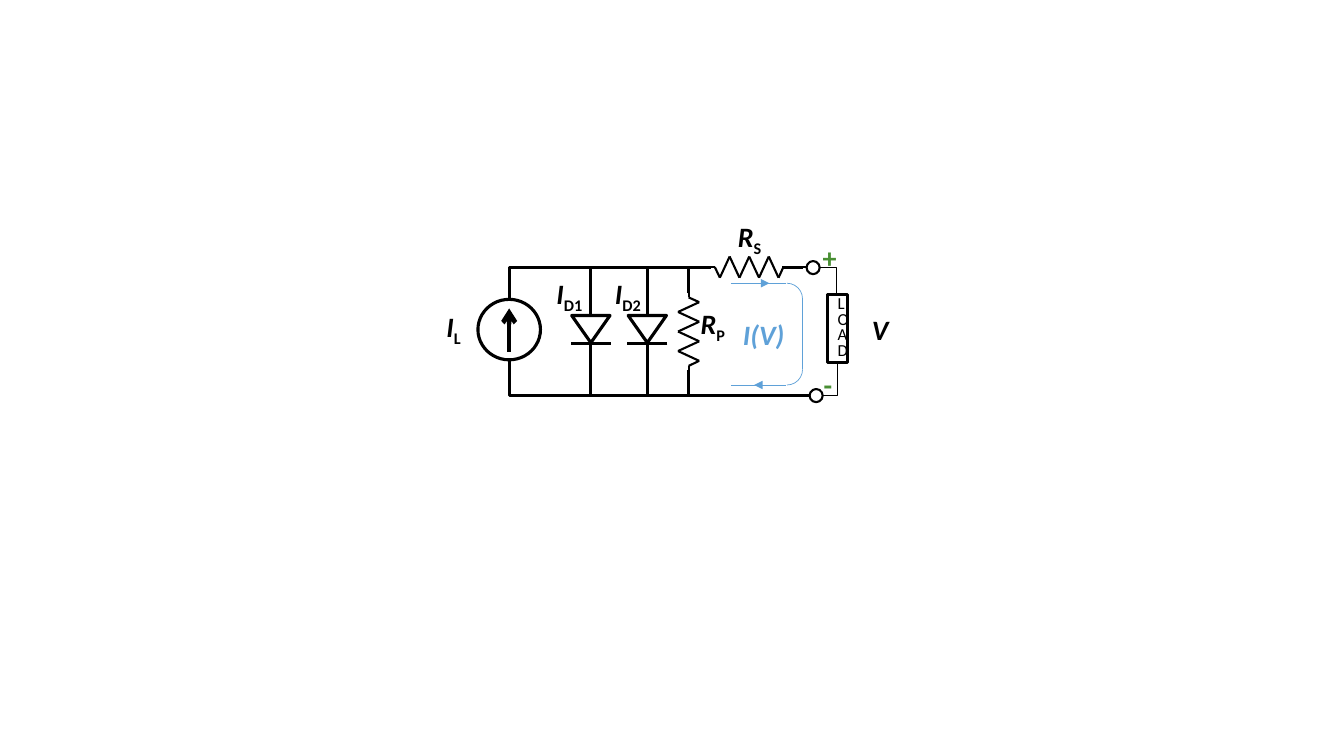
import dataclasses
import typing

import lxml.etree
import pptx
import pptx.dml.color
import pptx.enum.shapes
import pptx.enum.text
import pptx.oxml.ns
import pptx.util

BLACK, BLUE, GREEN, WHITE = "000000", "5FA1D8", "498F34", "FFFFFF"
THICK, MEDIUM, THIN = 2.25, 1.5, 0.5
SHAPE = pptx.enum.shapes.MSO_SHAPE
CONNECTOR = pptx.enum.shapes.MSO_CONNECTOR
Point = tuple[float, float]


@dataclasses.dataclass
class Wire:
    start: Point
    end: Point
    width: float = THICK
    color: str = BLACK
    arrow: str = ""


@dataclasses.dataclass
class Elbow:
    left: float
    top: float
    width: float
    height: float
    rotation: int
    flipped: bool
    preset: str
    weight: float
    bend: typing.Optional[int] = None


@dataclasses.dataclass
class Outline:
    preset: typing.Any
    left: float
    top: float
    width: float
    height: float
    weight: float = THICK
    color: str = BLACK
    fill: str = ""
    rotation: int = 0


@dataclasses.dataclass
class Label:
    text: str
    left: float
    top: float
    width: float
    subscript: str = ""
    color: str = BLACK
    italic: bool = True


def length(units: float) -> pptx.util.Length:
    """One drawing unit is 2.54 cm."""
    return pptx.util.Cm(2.54 * units)


def rgb(color: str) -> pptx.dml.color.RGBColor:
    return pptx.dml.color.RGBColor.from_string(color)


def add_child(parent: typing.Any, tag: str, **attributes: str) -> None:
    child = lxml.etree.SubElement(parent, pptx.oxml.ns.qn(tag))
    for name, value in attributes.items():
        child.set(name, value)


def style_line(shape: typing.Any, color: str, weight: float) -> None:
    shape.line.color.rgb = rgb(color)
    shape.line.width = pptx.util.Pt(weight)


def draw_wire(slide: typing.Any, wire: Wire) -> None:
    ends = [length(value) for value in (*wire.start, *wire.end)]
    connector = slide.shapes.add_connector(CONNECTOR.STRAIGHT, *ends)
    style_line(connector, wire.color, wire.width)
    if wire.arrow:
        add_child(connector.line._get_or_add_ln(), "a:tailEnd", type=wire.arrow)
    add_child(connector._element.spPr, "a:effectLst")


def draw_elbow(slide: typing.Any, elbow: Elbow) -> None:
    connector = slide.shapes.add_connector(
        CONNECTOR.ELBOW, length(elbow.left), length(elbow.top),
        length(elbow.left + elbow.width), length(elbow.top + elbow.height))
    style_line(connector, BLACK, elbow.weight)
    properties = connector._element.spPr
    frame = properties.find(pptx.oxml.ns.qn("a:xfrm"))
    frame.set("rot", str(elbow.rotation * 60000))
    if elbow.flipped:
        frame.set("flipV", "1")
    geometry = properties.find(pptx.oxml.ns.qn("a:prstGeom"))
    geometry.set("prst", elbow.preset)
    if elbow.bend is not None:
        adjustments = geometry.find(pptx.oxml.ns.qn("a:avLst"))
        add_child(adjustments, "a:gd", name="adj1", fmla=f"val {elbow.bend}")
    add_child(properties, "a:effectLst")


def draw_outline(slide: typing.Any, outline: Outline) -> typing.Any:
    box = (outline.left, outline.top, outline.width, outline.height)
    shape = slide.shapes.add_shape(outline.preset, *map(length, box))
    shape.shadow.inherit = False
    shape.rotation = outline.rotation
    style_line(shape, outline.color, outline.weight)
    if outline.fill:
        shape.fill.solid()
        shape.fill.fore_color.rgb = rgb(outline.fill)
    else:
        shape.fill.background()
    return shape


def add_text(paragraph: typing.Any, text: str, *, size: float = 20, color: str = BLACK,
             bold: bool = True, italic: bool = False, subscript: bool = False) -> None:
    run = paragraph.add_run()
    run.text = text
    font = run.font
    font.name, font.size = "Calibri", pptx.util.Pt(size)
    font.bold, font.italic = bold, italic
    font.color.rgb = rgb(color)
    if subscript:
        run._r.get_or_add_rPr().set("baseline", "-25000")


def draw_label(slide: typing.Any, label: Label) -> None:
    box = (label.left, label.top, label.width, 0.44)
    frame = slide.shapes.add_textbox(*map(length, box)).text_frame
    frame.word_wrap = True
    frame.auto_size = pptx.enum.text.MSO_AUTO_SIZE.SHAPE_TO_FIT_TEXT
    paragraph = frame.paragraphs[0]
    add_text(paragraph, label.text, color=label.color, italic=label.italic)
    if label.subscript:
        add_text(paragraph, label.subscript, color=label.color, subscript=True)


def draw_resistor(slide: typing.Any, start: Point, vertical: bool) -> None:
    """Draw seven peaks with a short lead at each end, to the right or upwards."""
    peaks = [(0.05 + 0.097 * peak, 0.105 * (-1) ** peak) for peak in range(7)]
    route = [(-0.05, 0), (0, 0), *peaks, (0.68, 0), (0.73, 0)]
    x, y = start
    points = [(x + across, y - along) if vertical else (x + along, y + across)
              for along, across in route]
    for first, second in zip(points, points[1:]):
        draw_wire(slide, Wire(first, second, MEDIUM))


def draw_diode(slide: typing.Any, x: float, top: float) -> None:
    draw_outline(slide, Outline(SHAPE.ISOSCELES_TRIANGLE, x - 0.19, top, 0.38, 0.27, rotation=180))
    draw_wire(slide, Wire((x + 0.2, top + 0.28), (x - 0.2, top + 0.28)))
    draw_wire(slide, Wire((x, top), (x, 2.65)))
    draw_wire(slide, Wire((x, 3.93), (x, top + 0.28)))


ELBOWS = [
    Elbow(5.05, 2.65, 2, 0.22, 180, True, "bentConnector3", THICK, 99900),
    Elbow(5.05, 3.57, 2.97, 0.35, 180, False, "bentConnector2", THICK),
    Elbow(8.08, 2.7, 0.27, 0.17, 270, True, "bentConnector2", THIN),
    Elbow(8.07, 3.69, 0.32, 0.15, 90, False, "bentConnector2", THIN),
]
OUTLINES = [
    Outline(SHAPE.OVAL, 8, 2.59, 0.13, 0.13, MEDIUM, fill=WHITE),
    Outline(SHAPE.OVAL, 8.03, 3.86, 0.13, 0.13, MEDIUM, fill=WHITE),
    Outline(SHAPE.OVAL, 4.74, 2.97, 0.62, 0.6),
    Outline(SHAPE.ARC, 7.65, 2.81, 0.31, 0.31, THIN, BLUE),
    Outline(SHAPE.ARC, 7.65, 3.51, 0.31, 0.31, THIN, BLUE, rotation=90),
]
WIRES = [
    # Terminals
    Wire((7.96, 2.65), (8, 2.65), MEDIUM),
    Wire((7.81, 3.93), (7.85, 3.93), MEDIUM),
    Wire((7.76, 2.65), (7.96, 2.65)),
    # Parallel resistor branch
    Wire((6.83, 2.91), (6.83, 2.65)),
    Wire((6.83, 3.92), (6.83, 3.67)),
    # Current source
    Wire((5.05, 3.49), (5.05, 3.06), 3.25, arrow="arrow"),
    Wire((5.05, 3.57), (5.05, 3.67)),
    Wire((5.05, 2.87), (5.05, 2.97)),
    # Output current loop
    Wire((7.96, 2.97), (7.96, 3.66), THIN, BLUE),
    Wire((7.25, 2.81), (7.8, 2.81), THIN, BLUE),
    Wire((7.25, 3.82), (7.8, 3.82), THIN, BLUE),
    Wire((7.69, 3.82), (7.48, 3.82), THIN, BLUE, "triangle"),
    Wire((7.42, 2.81), (7.63, 2.81), THIN, BLUE, "triangle"),
]
LABELS = [
    Label("I", 4.33, 3.02, 0.56, "L"),
    Label("I", 5.42, 2.69, 0.69, "D1"),
    Label("I", 6, 2.69, 0.56, "D2"),
    Label("R", 7.22, 2.13, 0.56, "S"),
    Label("R", 6.85, 2.99, 0.56, "P"),
    Label("V", 8.55, 3.05, 0.56),
    Label("I(V)", 7.27, 3.1, 0.65, color=BLUE),
    Label("+", 8.06, 2.34, 0.36, color=GREEN, italic=False),
    Label("-", 8.07, 3.6, 0.29, color=GREEN, italic=False),
]


def main() -> None:
    presentation = pptx.Presentation()
    presentation.slide_width, presentation.slide_height = length(13.33), length(7.5)
    slide = presentation.slides.add_slide(presentation.slide_layouts[6])
    for draw, items in ((draw_elbow, ELBOWS), (draw_outline, OUTLINES), (draw_wire, WIRES)):
        for item in items:
            draw(slide, item)
    for diode_x in (5.86, 6.42):
        draw_diode(slide, diode_x, 3.13)
    draw_resistor(slide, (7.09, 2.65), vertical=False)
    draw_resistor(slide, (6.83, 3.63), vertical=True)
    # Load, too narrow for more than one letter a line
    load = draw_outline(slide, Outline(SHAPE.RECTANGLE, 8.21, 2.92, 0.2, 0.68)).text_frame
    load.word_wrap, load.vertical_anchor = True, pptx.enum.text.MSO_ANCHOR.MIDDLE
    paragraph = load.paragraphs[0]
    paragraph.alignment = pptx.enum.text.PP_ALIGN.CENTER
    paragraph.line_spacing = pptx.util.Pt(11)
    add_text(paragraph, "LOAD", size=12, bold=False)
    for label in LABELS:
        draw_label(slide, label)
    presentation.save("out.pptx")


if __name__ == "__main__":
    main()
